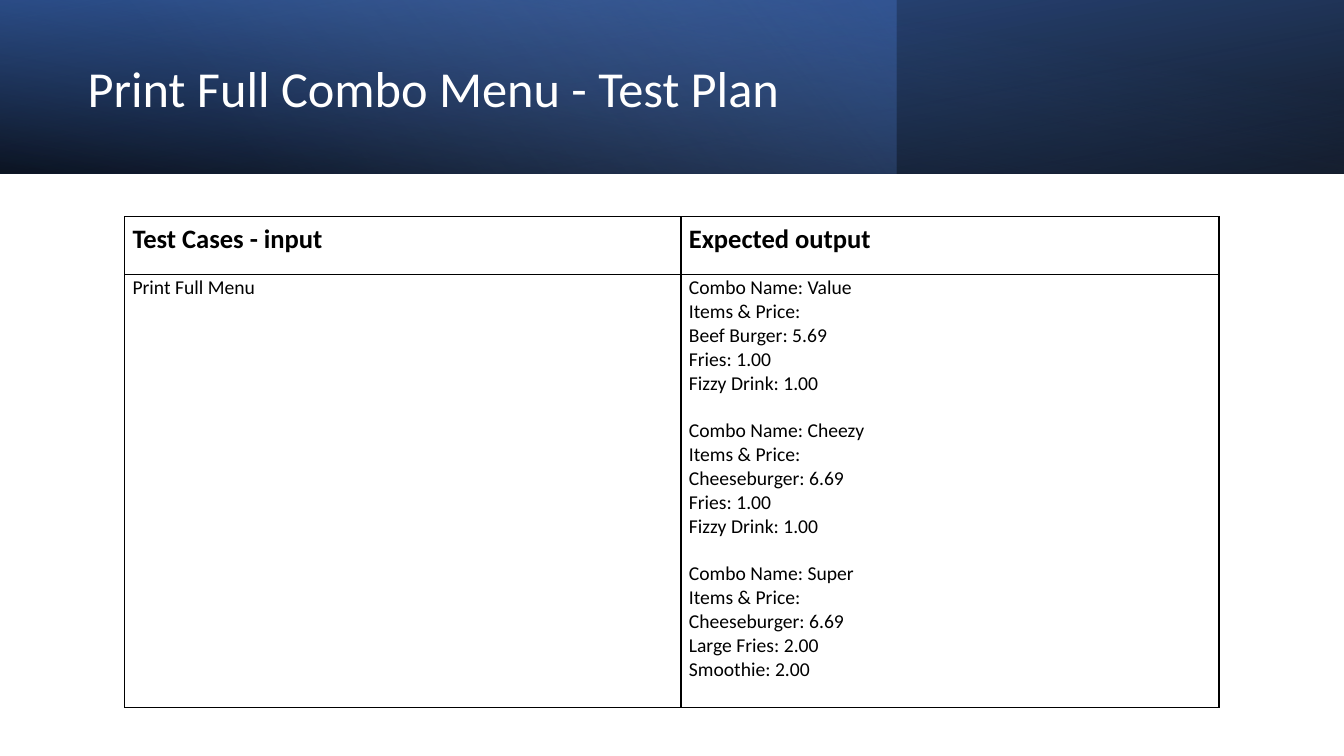
from lxml import etree
from pptx import Presentation
from pptx import util as u
from pptx.dml.color import RGBColor
from pptx.enum import shapes, text
from pptx.oxml import ns

WHITE = RGBColor(0xFF, 0xFF, 0xFF)
BLACK = RGBColor(0, 0, 0)
BLUE = RGBColor(0x44, 0x72, 0xC4)
DEEP_BLUE = RGBColor(0x2F, 0x55, 0x97)
PALE_BLUE = RGBColor(0x8F, 0xAA, 0xDC)

TITLE = "Print Full Combo Menu - Test Plan"
HEADERS = ["Test Cases - input", "Expected output"]
TEST_INPUT = "Print Full Menu"
COMBOS = [
    ("Value", ["Beef Burger: 5.69", "Fries: 1.00", "Fizzy Drink: 1.00"]),
    ("Cheezy", ["Cheeseburger: 6.69", "Fries: 1.00", "Fizzy Drink: 1.00"]),
    ("Super", ["Cheeseburger: 6.69", "Large Fries: 2.00", "Smoothie: 2.00"]),
]

SLIDE_WIDTH, SLIDE_HEIGHT = u.Cm(33.87), u.Cm(19.05)
BANNER_HEIGHT = u.Cm(4.37)
# width, rotation, mirrored, gradient angle, stops (percent, colour, opacity percent)
BANNER_LAYERS = [
    (SLIDE_WIDTH, 180, True, 100, [(0, BLACK, 96), (100, DEEP_BLUE, 100)]),
    (u.Cm(22.58), 0, False, 140, [(0, BLUE, 41), (74, PALE_BLUE, 0)]),
    (SLIDE_WIDTH, 0, True, 260, [(0, BLACK, 63), (78, BLUE, 15)]),
]
TITLE_BOX = (u.Cm(1.96), u.Cm(0.69), u.Cm(19.61), u.Cm(3.23))
TABLE_LEFT, TABLE_TOP = u.Cm(3.14), u.Cm(5.46)
COLUMN_WIDTHS = [u.Cm(14.02), u.Cm(13.56)]
ROW_HEIGHTS = [u.Cm(1.45), u.Cm(10.92)]
CELL_FORMAT = {"margin_left": u.Cm(0.2), "margin_top": u.Cm(0.05),
               "margin_right": u.Cm(0.46), "margin_bottom": u.Cm(0.46)}
TITLE_FONT = {"name": "Calibri", "size": u.Pt(36), "bold": False}
HEADER_FONT = {"name": "Calibri", "size": u.Pt(19), "bold": True}
BODY_FONT = {"name": "Calibri", "size": u.Pt(14), "bold": False}
COMBO_GAP = u.Pt(17)


def set_all(target, values):
    for name, value in values.items():
        setattr(target, name, value)


def add_element(parent, tag, **attributes):
    element = etree.SubElement(parent, ns.qn(tag))
    for name, value in attributes.items():
        element.set(name, str(value))
    return element


def write(paragraph, words, font, color):
    run = paragraph.add_run()
    run.text = words
    set_all(run.font, font)
    run.font.color.rgb = color


def fill_gradient(shape, angle, stops):
    """Replace the stops of a shape's gradient, with opacity for each."""
    shape.fill.gradient()
    gradient = shape.element.spPr.find(ns.qn("a:gradFill"))
    gradient.set("rotWithShape", "1")
    for child in list(gradient):
        gradient.remove(child)
    stop_list = add_element(gradient, "a:gsLst")
    for position, color, opacity in stops:
        stop = add_element(stop_list, "a:gs", pos=position * 1000)
        fill = add_element(stop, "a:srgbClr", val=color)
        add_element(fill, "a:alpha", val=opacity * 1000)
    add_element(gradient, "a:lin", ang=angle * 60000, scaled=0)


def add_banner(slide):
    for width, rotation, mirrored, angle, stops in BANNER_LAYERS:
        shape = slide.shapes.add_shape(
            shapes.MSO_SHAPE.RECTANGLE, 0, 0, width, BANNER_HEIGHT)
        shape.shadow.inherit = False
        shape.line.fill.background()
        shape.rotation = rotation
        if mirrored:
            shape.element.spPr.xfrm.set("flipH", "1")
        fill_gradient(shape, angle, stops)


def add_title(slide):
    frame = slide.shapes.add_textbox(*TITLE_BOX).text_frame
    set_all(frame, {"word_wrap": True, "vertical_anchor": text.MSO_ANCHOR.MIDDLE})
    frame.paragraphs[0].line_spacing = 0.9
    write(frame.paragraphs[0], TITLE, TITLE_FONT, WHITE)


def format_cell(cell, anchor):
    set_all(cell, CELL_FORMAT)
    cell.vertical_anchor = anchor
    properties = cell._tc.get_or_add_tcPr()
    for side in ("a:lnL", "a:lnR", "a:lnT", "a:lnB"):
        line = add_element(properties, side, w=u.Pt(1))
        add_element(add_element(line, "a:solidFill"), "a:srgbClr", val=BLACK)
    cell.fill.background()


def add_test_table(slide):
    table = slide.shapes.add_table(
        len(ROW_HEIGHTS), len(COLUMN_WIDTHS), TABLE_LEFT, TABLE_TOP,
        sum(COLUMN_WIDTHS), sum(ROW_HEIGHTS)).table
    set_all(table, {"first_row": False, "horz_banding": False})
    for row, height in zip(table.rows, ROW_HEIGHTS):
        row.height = height
    for index, (width, header) in enumerate(zip(COLUMN_WIDTHS, HEADERS)):
        table.columns[index].width = width
        format_cell(table.cell(0, index), text.MSO_ANCHOR.BOTTOM)
        format_cell(table.cell(1, index), text.MSO_ANCHOR.TOP)
        write(table.cell(0, index).text_frame.paragraphs[0],
              header, HEADER_FONT, BLACK)

    write(table.cell(1, 0).text_frame.paragraphs[0], TEST_INPUT, BODY_FONT, BLACK)
    output = table.cell(1, 1).text_frame
    paragraph = output.paragraphs[0]
    for combo, (name, items) in enumerate(COMBOS):
        lines = [f"Combo Name: {name}", "Items & Price:", *items]
        for number, words in enumerate(lines):
            if combo or number:
                paragraph = output.add_paragraph()
            if combo and number == 0:
                paragraph.space_before = COMBO_GAP
            write(paragraph, words, BODY_FONT, BLACK)


def main():
    presentation = Presentation()
    set_all(presentation, {"slide_width": SLIDE_WIDTH, "slide_height": SLIDE_HEIGHT})
    slide = presentation.slides.add_slide(presentation.slide_layouts[6])
    add_banner(slide)
    add_title(slide)
    add_test_table(slide)
    presentation.save("out.pptx")


if __name__ == "__main__":
    main()
